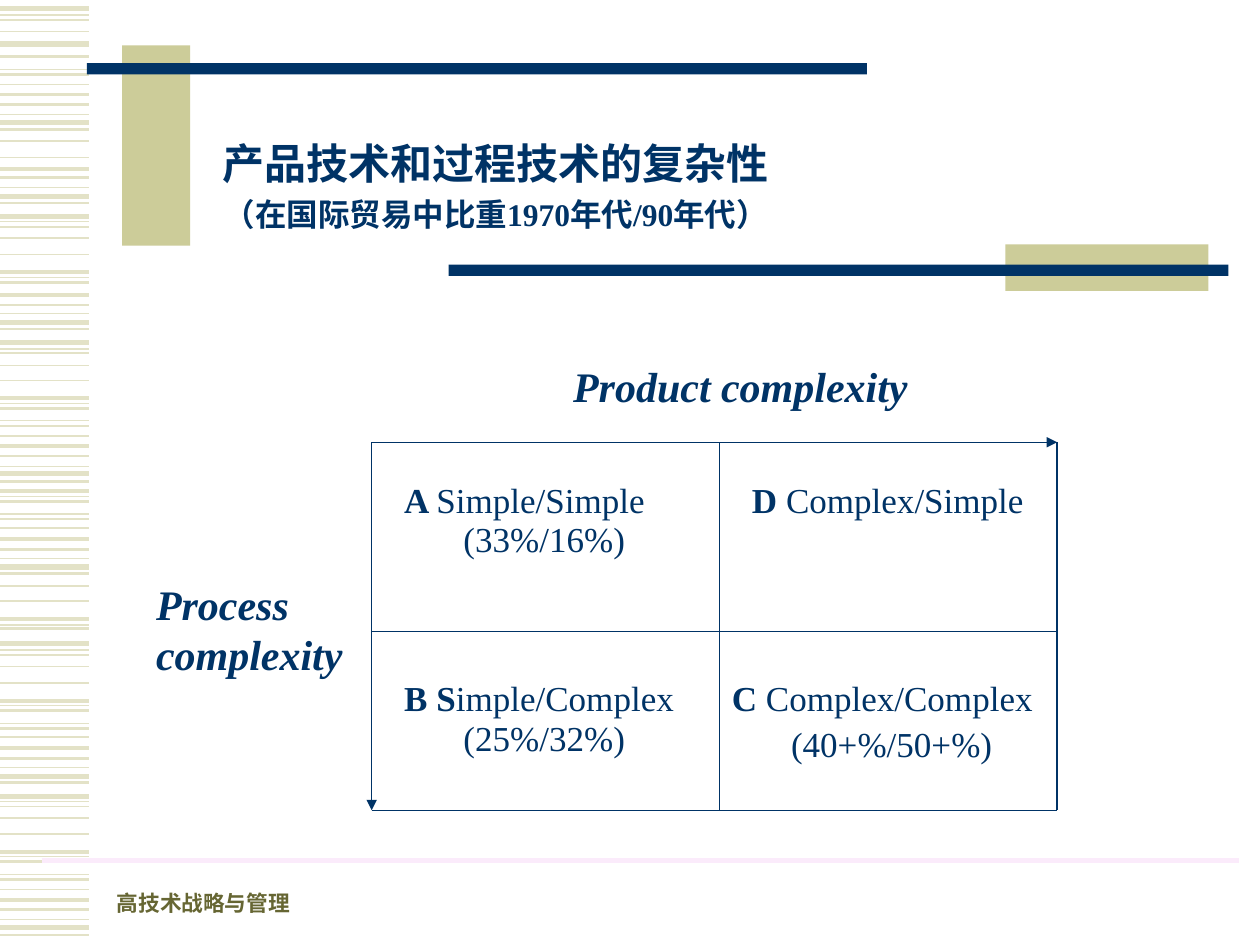
"""Build the slide on product and process technology complexity."""
import pptx
import pptx.util
import pptx.dml.color
import pptx.enum.shapes
import pptx.enum.text
import pptx.oxml.ns
from lxml import etree

PX = 9144
THEME = {
    "font": "Times New Roman",
    "navy": "003366", "khaki": "CCCC99", "stripe": "E3E2C7",
    "pink": "FBEBFB", "olive": "666633",
    "title": 24, "subtitle": 18, "axis": 24, "cell": 20, "footer": 12.4,
    "thin": 0.75, "rule": 3,
}

STRIPE_WIDTH = 71
STRIPES = {
    0.75: [12, 55, 91, 149, 176, 220, 249, 277, 320, 334, 370, 394, 408, 443,
           496, 516, 560, 574, 609, 636, 680, 694, 730],
    1: [16, 25, 67, 112, 125, 180, 189, 202, 280, 290, 302, 346, 419, 465, 477,
        520, 529, 542, 585, 640, 649, 662, 706],
    1.5: [45, 59, 83, 103, 141, 161, 224, 242, 261, 324, 338, 362, 382, 398, 412,
          436, 455, 499, 564, 578, 602, 621, 684, 698, 722, 742],
    2.25: [75, 134, 216, 234, 316, 354, 390, 428, 491, 556, 594, 676, 714],
    3: [7, 35, 97, 156, 172, 256, 272, 376, 450, 511, 616, 632, 736],
}
BARS = [
    ((97, 36, 54, 159), "khaki"),
    ((69, 50, 619, 9), "navy"),
    ((798, 194, 161, 37), "khaki"),
    ((356, 210, 619, 9), "navy"),
]
COLUMNS = (295, 571, 839)
ROWS = (351, 501, 643)
TITLE = [("产品技术和过程技术的复杂性", "title"),
         ("（在国际贸易中比重1970年代/90年代）", "subtitle")]
FOOTER = "高技术战略与管理"
AXES = [
    ((445, 281, 323, 50), ["Product complexity"]),
    ((114, 454, 173, 90), ["Process", "complexity"]),
]
CELLS = [
    ((311, 375, 228, 44), "A ", "Simple/Simple"),
    ((358, 406, 157, 44), "", "(33%/16%)"),
    ((311, 532, 244, 44), "B S", "imple/Complex"),
    ((358, 564, 173, 44), "", "(25%/32%)"),
    ((571, 532, 268, 44), "C ", "Complex/Complex"),
    ((587, 375, 276, 44), "D ", "Complex/Simple"),
]
TIGHT_CELL = ((618, 580, 197, 30), "(40+%/50+%)")


def emu(lengths):
    return [n * PX for n in lengths]


def rgb(name):
    return pptx.dml.color.RGBColor.from_string(THEME[name])


def add_line(s, start, end, color, width, arrow=False):
    kind = pptx.enum.shapes.MSO_CONNECTOR.STRAIGHT
    sp = s.shapes.add_connector(kind, *emu(start + end))
    sp.line.color.rgb = rgb(color)
    sp.line.width = pptx.util.Pt(width)
    qn = pptx.oxml.ns.qn
    if arrow:
        etree.SubElement(sp.line._get_or_add_ln(), qn("a:tailEnd"), type="triangle")
    etree.SubElement(sp._element.spPr, qn("a:effectLst"))


def add_bar(s, box, color):
    sp = s.shapes.add_shape(pptx.enum.shapes.MSO_SHAPE.RECTANGLE, *emu(box))
    sp.shadow.inherit = False
    sp.fill.solid()
    sp.fill.fore_color.rgb = rgb(color)
    sp.line.fill.background()


def add_frame(s, box, grow=True):
    tf = s.shapes.add_textbox(*emu(box)).text_frame
    tf.word_wrap = True
    sizes = pptx.enum.text.MSO_AUTO_SIZE
    tf.auto_size = sizes.SHAPE_TO_FIT_TEXT if grow else sizes.NONE
    return tf


def add_run(p, text, size, color="navy", bold=False, italic=False):
    r = p.add_run()
    r.text = text
    r.font.name = THEME["font"]
    r.font.size = pptx.util.Pt(THEME[size])
    r.font.color.rgb = rgb(color)
    r.font.bold = bold
    r.font.italic = italic


def add_background(s):
    for width, heights in STRIPES.items():
        for y in heights:
            add_line(s, (0, y), (STRIPE_WIDTH, y), "stripe", width)
    for box, color in BARS:
        add_bar(s, box, color)
    add_line(s, (33, 683), (983, 683), "pink", THEME["rule"])


def add_headings(s):
    tf = add_frame(s, (83, 698, 260, 34), grow=False)
    tf.vertical_anchor = pptx.enum.text.MSO_ANCHOR.BOTTOM
    add_run(tf.paragraphs[0], FOOTER, "footer", "olive", bold=True)

    tf = add_frame(s, (161, 107, 465, 72), grow=False)
    tf.vertical_anchor = pptx.enum.text.MSO_ANCHOR.MIDDLE
    p = tf.paragraphs[0]
    p.alignment = pptx.enum.text.PP_ALIGN.CENTER
    p.line_spacing = 1.2
    for i, (text, size) in enumerate(TITLE):
        if i:
            p.add_line_break()
        add_run(p, text, size, bold=True)


def add_matrix(s):
    left, right = COLUMNS[0], COLUMNS[-1]
    top, bottom = ROWS[0], ROWS[-1]
    for y in ROWS:
        add_line(s, (left, y), (right, y), "navy", THEME["thin"], arrow=y == top)
    for x in COLUMNS:
        add_line(s, (x, top), (x, bottom), "navy", THEME["thin"], arrow=x == left)

    for box, lines in AXES:
        tf = add_frame(s, box)
        for i, text in enumerate(lines):
            p = tf.add_paragraph() if i else tf.paragraphs[0]
            add_run(p, text, "axis", bold=True, italic=True)

    for box, lead, text in CELLS:
        p = add_frame(s, box).paragraphs[0]
        if lead:
            add_run(p, lead, "cell", bold=True)
        add_run(p, text, "cell")

    box, text = TIGHT_CELL
    p = add_frame(s, box).paragraphs[0]
    p.alignment = pptx.enum.text.PP_ALIGN.JUSTIFY
    p.line_spacing = 0.6
    add_run(p, text, "cell")


def main():
    prs = pptx.Presentation()
    prs.slide_width, prs.slide_height = emu((1000, 750))
    s = prs.slides.add_slide(prs.slide_layouts[6])
    add_background(s)
    add_headings(s)
    add_matrix(s)
    prs.save("out.pptx")


if __name__ == "__main__":
    main()
